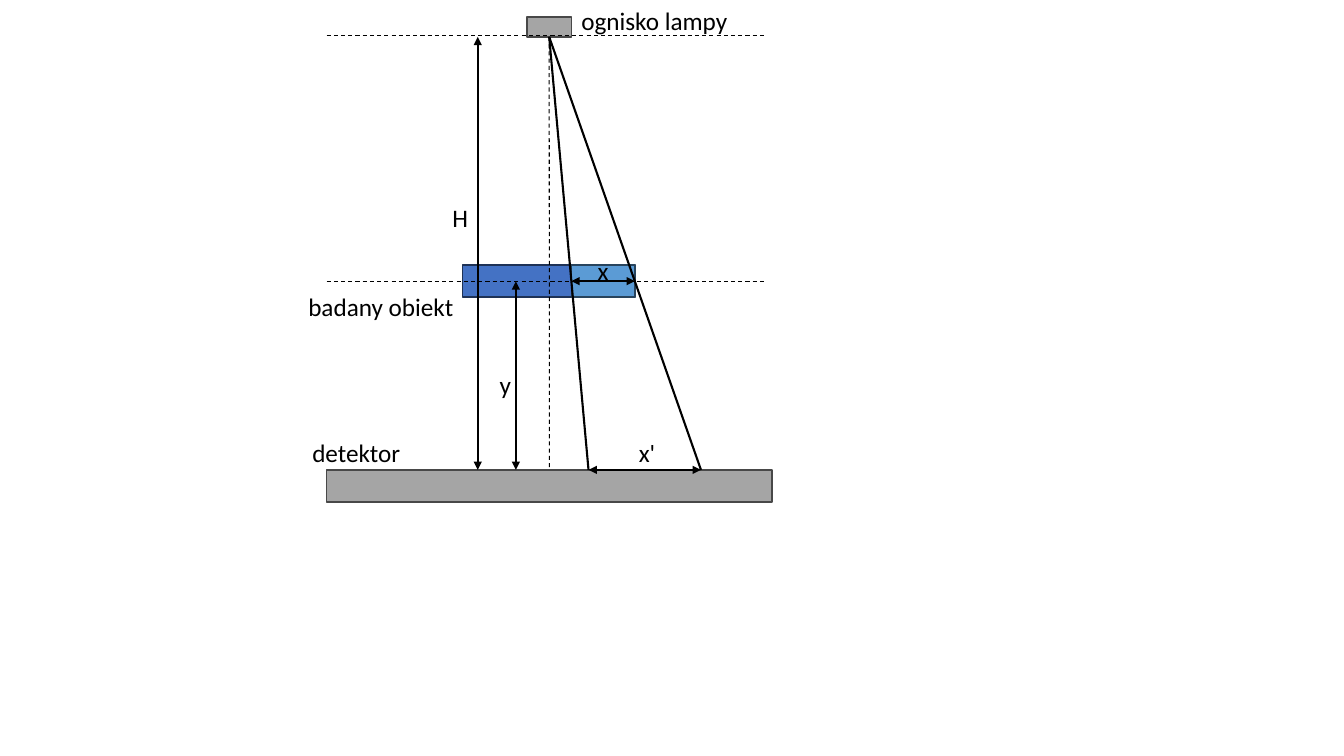
from dataclasses import dataclass

from lxml.etree import SubElement
from pptx import Presentation
from pptx.dml.color import RGBColor
from pptx.enum.dml import MSO_LINE
from pptx.enum.shapes import MSO_CONNECTOR, MSO_SHAPE
from pptx.enum.text import MSO_AUTO_SIZE
from pptx.oxml.ns import qn
from pptx.util import Cm, Pt


@dataclass(frozen=True)
class Theme:
    black: str = "000000"
    grey: tuple = ("A5A5A5", "484848")
    blue: tuple = ("4472C4", "1E3256")
    light_blue: tuple = ("5B9BD5", "28445D")
    font: str = "Calibri"
    text_size: float = 18
    outline: float = 1
    thick: float = 1.5
    thin: float = 0.75


THEME = Theme()


def apply_format(target, values):
    for name, value in values.items():
        setattr(target, name, value)


def add_block(page, left, top, width, height, colours):
    block = page.shapes.add_shape(
        MSO_SHAPE.RECTANGLE, Cm(left), Cm(top), Cm(width), Cm(height)
    )
    fill, outline = colours
    block.shadow.inherit = False
    block.fill.solid()
    block.fill.fore_color.rgb = RGBColor.from_string(fill)
    block.line.color.rgb = RGBColor.from_string(outline)
    block.line.width = Pt(THEME.outline)
    return block


def add_line(page, start, end, width=THEME.thick, dash=None):
    line = page.shapes.add_connector(
        MSO_CONNECTOR.STRAIGHT, *(Cm(length) for length in (*start, *end))
    )
    line.line.color.rgb = RGBColor.from_string(THEME.black)
    apply_format(line.line, {"width": Pt(width), "dash_style": dash})
    SubElement(line._element.spPr, qn("a:effectLst"))
    return line


def add_dashed(page, start, end):
    return add_line(page, start, end, THEME.thin, MSO_LINE.DASH)


def add_dimension(page, start, end):
    arrow = add_line(page, start, end)
    outline = arrow.line._get_or_add_ln()
    for tag in ("a:headEnd", "a:tailEnd"):
        SubElement(outline, qn(tag), type="triangle")
    return arrow


def add_label(page, text, left, top, width):
    box = page.shapes.add_textbox(Cm(left), Cm(top), Cm(width), Cm(1.02))
    apply_format(
        box.text_frame,
        {"word_wrap": False, "auto_size": MSO_AUTO_SIZE.SHAPE_TO_FIT_TEXT},
    )
    span = box.text_frame.paragraphs[0].add_run()
    span.text = text
    apply_format(span.font, {"name": THEME.font, "size": Pt(THEME.text_size)})
    span.font.color.rgb = RGBColor.from_string(THEME.black)


def draw_projection(page):
    left, right = 8.23, 19.25
    focus_x, focus_y = 13.84, 0.93
    object_y, detector_y = 7.09, 11.84
    detail_left, detail_right = 14.4, 16
    magnification = (detector_y - focus_y) / (object_y - focus_y)
    shadow_left, shadow_right = (
        focus_x + (edge - focus_x) * magnification
        for edge in (detail_left, detail_right)
    )

    detector = add_block(page, left, detector_y, 11.23, 0.81, THEME.grey)
    lamp = add_block(page, 13.28, 0.43, 1.12, 0.5, THEME.grey)
    add_block(page, 11.66, 6.68, 4.34, 0.81, THEME.blue)
    detail = add_block(
        page, detail_left, 6.68, detail_right - detail_left, 0.81, THEME.light_blue
    )

    for shadow_x in (shadow_right, shadow_left):
        ray = add_line(page, (focus_x, focus_y), (shadow_x, detector_y))
        ray.begin_connect(lamp, 2)

    detail_width = add_dimension(
        page, (detail_left, object_y), (detail_right, object_y)
    )
    detail_width.begin_connect(detail, 1)
    detail_width.end_connect(detail, 3)
    add_dimension(page, (shadow_left, detector_y), (shadow_right, detector_y))

    add_dashed(page, (left, object_y), (right, object_y))
    for arrow_x, top in ((13, object_y), (12.04, focus_y)):
        add_dimension(page, (arrow_x, top), (arrow_x, detector_y))
    add_dashed(page, (left, 0.89), (right, 0.89))

    axis = add_dashed(page, (focus_x, focus_y), (focus_x, detector_y))
    axis.begin_connect(lamp, 2)
    axis.end_connect(detector, 0)


def main():
    deck = Presentation()
    apply_format(deck, {"slide_width": Cm(33.87), "slide_height": Cm(19.05)})
    page = deck.slides.add_slide(deck.slide_layouts[6])
    draw_projection(page)
    labels = (
        ("x", 14.81, 6.3, 0.79),
        ("x'", 15.85, 10.9, 0.94),
        ("H", 11.15, 4.98, 0.91),
        ("y", 12.34, 9.19, 0.81),
        ("ognisko lampy", 14.4, 0, 4.24),
        ("badany obiekt", 7.52, 7.21, 4.22),
        ("detektor", 7.62, 10.9, 2.74),
    )
    for label in labels:
        add_label(page, *label)
    deck.save("out.pptx")


if __name__ == "__main__":
    main()
